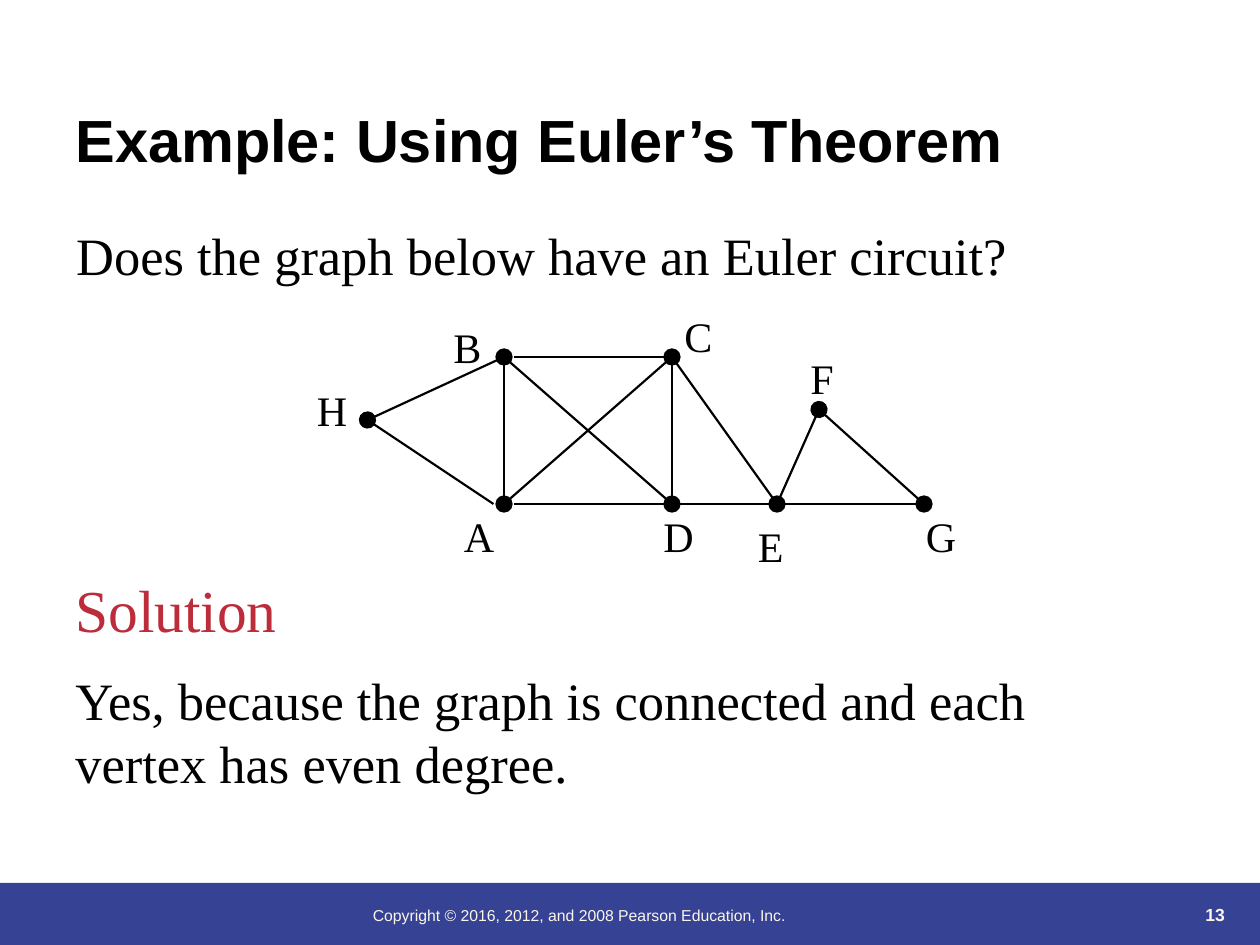
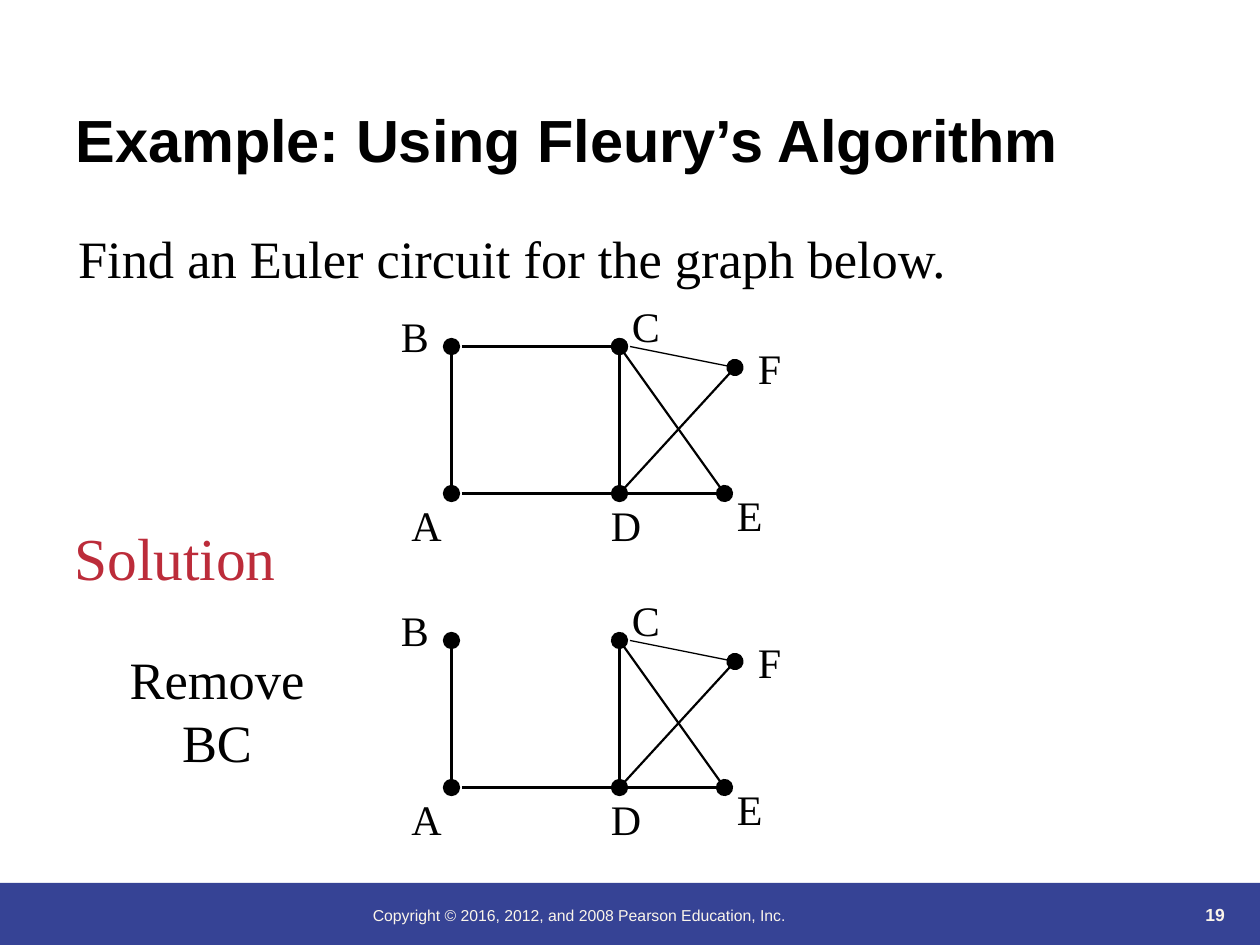
"""Build two slides on Euler circuits, with graphs drawn from vertex tables."""
from dataclasses import dataclass
from typing import NamedTuple

import pptx
import pptx.dml.color
import pptx.enum.shapes
import pptx.enum.text
import pptx.oxml.ns
import pptx.oxml.xmlchemy
import pptx.slide
import pptx.util
from lxml import etree

Pt = pptx.util.Pt
Align = pptx.enum.text.PP_ALIGN
Anchor = pptx.enum.text.MSO_ANCHOR
qn = pptx.oxml.ns.qn


@dataclass(frozen=True)
class Theme:
    """Colours, fonts and sizes shared by the slides."""
    ink: str = "000000"
    red: str = "BC2C3A"
    band: str = "364395"
    cream: str = "FBF5EA"
    sans: str = "Arial"
    serif: str = "Times New Roman"
    head: float = 34
    body: float = 30
    label: float = 24
    small: float = 9
    page: float = 10
    line: float = 1.25
    thin: float = 0.75
    lead: float = 1.2


THEME = Theme()


class Style(NamedTuple):
    """Look of a run of text."""
    size: float
    color: str = THEME.ink
    font: str = THEME.serif
    bold: bool = False


TITLE = Style(THEME.head, font=THEME.sans, bold=True)
BODY = Style(THEME.body)
RED = Style(THEME.head, THEME.red)
LABEL = Style(THEME.label)
RIGHTS = Style(THEME.small, THEME.cream, THEME.sans)
PAGE = Style(THEME.page, THEME.cream, THEME.sans, True)


class Box(NamedTuple):
    """Place of a block of text, in points."""
    left: float
    top: float
    width: float
    height: float


class Node(NamedTuple):
    """Vertex of a graph and the corner of its label box."""
    x: float
    y: float
    left: float
    top: float


class Edge(NamedTuple):
    """Edge by vertex names, with dots at its ends and a shift of its start."""
    ends: str
    head: bool = False
    tail: bool = False
    shift: float = 0
    width: float = THEME.line


GAP = 6
DROP = 168

EULER_NODES = {
    "A": Node(288, 288, 258, 288),
    "B": Node(288, 204, 252, 180),
    "C": Node(384, 204, 384, 174),
    "D": Node(384, 288, 372, 288),
    "E": Node(444, 288, 426, 294),
    "F": Node(468, 234, 456, 198),
    "G": Node(528, 288, 522, 288),
    "H": Node(210, 240, 174, 216),
}
EULER_EDGES = [
    Edge("AB", head=True, tail=True),
    Edge("BC", tail=True, shift=GAP),
    Edge("CD"),
    Edge("EG", head=True, tail=True),
    Edge("AD", tail=True, shift=GAP),
    Edge("CA"),
    Edge("CE"),
    Edge("BD"),
    Edge("EF", tail=True),
    Edge("FG"),
    Edge("ED"),
    Edge("AH", tail=True, shift=-GAP),
    Edge("BH"),
]

FLEURY_NODES = {
    "A": Node(258, 282, 228, 282),
    "B": Node(258, 198, 222, 174),
    "C": Node(354, 198, 354, 168),
    "D": Node(354, 282, 342, 282),
    "E": Node(414, 282, 414, 276),
    "F": Node(420, 210, 426, 192),
}
FLEURY_EDGES = [
    Edge("AB", head=True, tail=True),
    Edge("BC", tail=True, shift=GAP),
    Edge("CD"),
    Edge("AD", tail=True, shift=GAP),
    Edge("CE", head=True, tail=True),
    Edge("DF", tail=True),
    Edge("ED"),
    Edge("CF", shift=GAP, width=THEME.thin),
]


def rgb(code: str) -> pptx.dml.color.RGBColor:
    """Turn a hex code into a colour."""
    return pptx.dml.color.RGBColor.from_string(code)


def add_run(para, text: str, style: Style) -> None:
    """Add one styled run to a paragraph."""
    run = para.add_run()
    run.text = text
    run.font.size = Pt(style.size)
    run.font.name = style.font
    run.font.bold = style.bold
    run.font.color.rgb = rgb(style.color)


def add_text(slide: pptx.slide.Slide, box: Box, text: str, style: Style,
             align=Align.LEFT, anchor=Anchor.TOP) -> None:
    """Add a wrapped text box."""
    frame = slide.shapes.add_textbox(*map(Pt, box)).text_frame
    frame.word_wrap = True
    frame.vertical_anchor = anchor
    para = frame.paragraphs[0]
    para.alignment = align
    if style.font == THEME.serif:
        para.line_spacing = Pt(THEME.lead * style.size)
    add_run(para, text, style)


def add_edge(slide: pptx.slide.Slide, nodes: dict[str, Node], edge: Edge,
             drop: float) -> None:
    """Draw one edge with its dots."""
    start, end = (nodes[name] for name in edge.ends)
    line = slide.shapes.add_connector(
        pptx.enum.shapes.MSO_CONNECTOR.STRAIGHT,
        Pt(start.x + edge.shift), Pt(start.y + drop),
        Pt(end.x), Pt(end.y + drop))
    line.line.color.rgb = rgb(THEME.ink)
    line.line.width = Pt(edge.width)
    props = line.element.spPr
    pen = props.find(qn("a:ln"))
    for tag, dot in (("a:headEnd", edge.head), ("a:tailEnd", edge.tail)):
        if dot:
            etree.SubElement(pen, qn(tag), type="oval", w="lg", len="lg")
    etree.SubElement(props, qn("a:effectLst"))


def add_graph(slide: pptx.slide.Slide, nodes: dict[str, Node],
              edges: list[Edge], drop: float = 0) -> None:
    """Draw the edges and labels of a graph, moved down by drop."""
    for edge in edges:
        add_edge(slide, nodes, edge, drop)
    for name, node in nodes.items():
        add_text(slide, Box(node.left, node.top + drop, 72, 36), name, LABEL)


def add_slide(deck, title: str, page: str) -> pptx.slide.Slide:
    """Add a slide with its title, band and footer."""
    slide = deck.slides.add_slide(deck.slide_layouts[5])
    head = slide.shapes.title
    head.left, head.top, head.width, head.height = map(Pt, (36, 13, 648, 90))
    frame = head.text_frame
    frame.auto_size = pptx.enum.text.MSO_AUTO_SIZE.NONE
    frame.vertical_anchor = Anchor.BOTTOM
    frame.paragraphs[0].alignment = Align.LEFT
    add_run(frame.paragraphs[0], title, TITLE)

    band = slide.shapes.add_shape(
        pptx.enum.shapes.MSO_SHAPE.RECTANGLE,
        *map(Pt, (0, 504.5, 720, 35.5)))
    band.shadow.inherit = False
    band.fill.solid()
    band.fill.fore_color.rgb = rgb(THEME.band)
    band.line.fill.background()
    add_text(slide, Box(206, 514, 354, 26),
             "Copyright © 2016, 2012, and 2008 Pearson Education, Inc.", RIGHTS)
    add_text(slide, Box(641, 496, 66, 36), page, PAGE,
             Align.RIGHT, Anchor.BOTTOM)
    return slide


def add_euler(deck) -> None:
    """Build the slide on Euler's theorem."""
    slide = add_slide(deck, "Example: Using Euler’s Theorem", "13")
    add_text(slide, Box(36.5, 124, 621, 43),
             "Does the graph below have an Euler circuit?", BODY)
    add_graph(slide, EULER_NODES, EULER_EDGES)
    add_text(slide, Box(36, 324, 486, 48), "Solution", RED)
    add_text(slide, Box(36, 378, 635, 79),
             "Yes, because the graph is connected and each vertex has even "
             "degree.", BODY)


def add_fleury(deck) -> None:
    """Build the slide on Fleury's algorithm."""
    slide = add_slide(deck, "Example: Using Fleury’s Algorithm", "19")
    add_text(slide, Box(37.5, 125.5, 528, 43),
             "Find an Euler circuit for the graph below.", BODY)
    add_graph(slide, FLEURY_NODES, FLEURY_EDGES)
    add_text(slide, Box(35.5, 294, 174, 48), "Solution", RED)
    add_text(slide, Box(64, 366, 120, 79), "Remove BC", BODY, Align.CENTER)
    left = [edge for edge in FLEURY_EDGES if edge.ends != "BC"]
    add_graph(slide, FLEURY_NODES, left, DROP)


def main() -> None:
    """Build and save the deck."""
    deck = pptx.Presentation()
    deck.slide_width, deck.slide_height = Pt(720), Pt(540)
    add_euler(deck)
    add_fleury(deck)
    deck.save("out.pptx")


if __name__ == "__main__":
    main()
